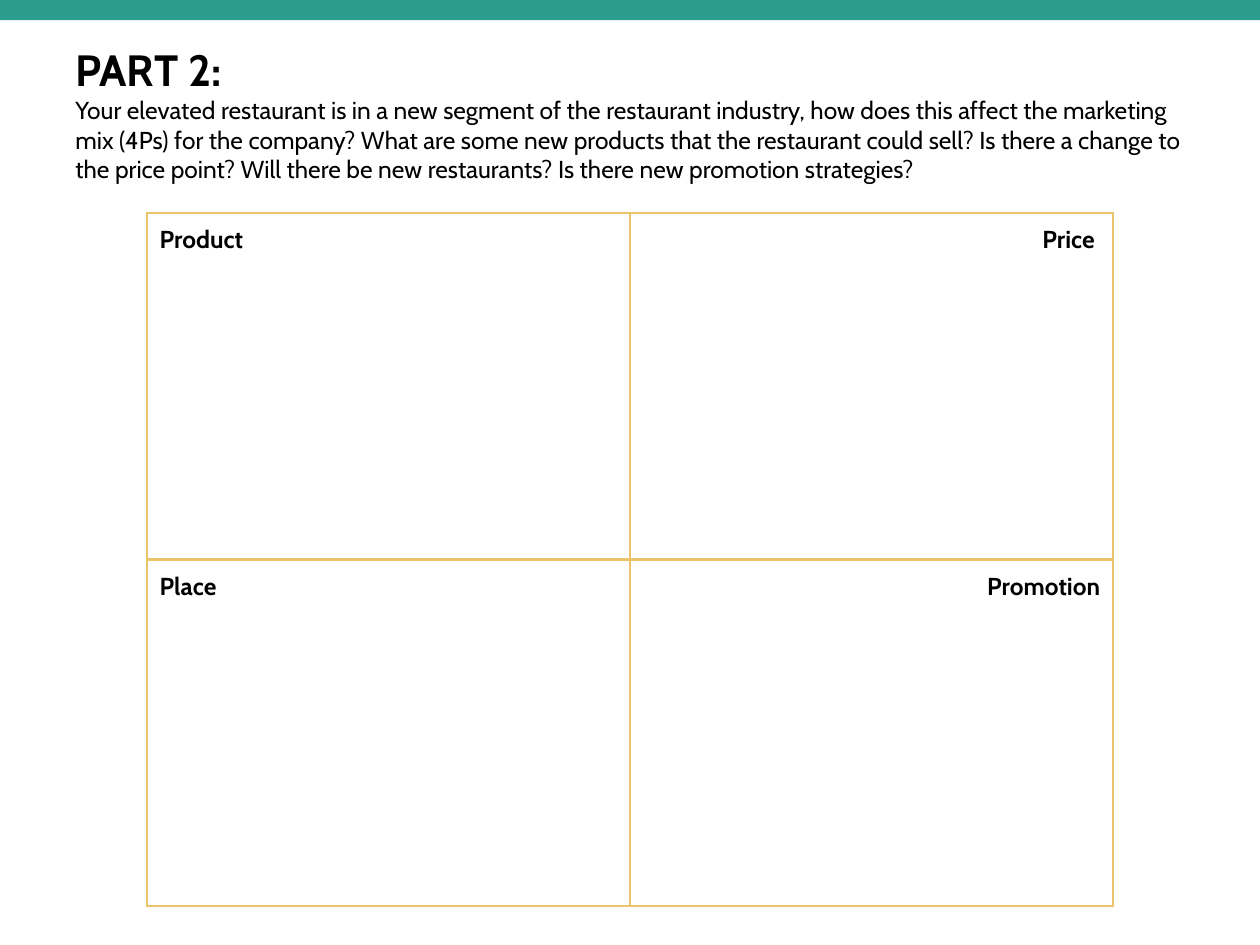
from lxml import etree
from pptx import Presentation
from pptx import util as u
from pptx.dml.color import RGBColor
from pptx.enum import shapes, text
from pptx.oxml import ns

COLORS = {"bar": "2A9D8F", "border": "E9C46A", "text": "000000", "page": "FFFFFF"}


def rgb(name):
    return RGBColor.from_string(COLORS[name])


class SlideBuilder:
    font = "Cabin"
    inset = u.Cm(0.25)
    border_pt = 1.5

    def __init__(self, slide):
        self.s = slide
        fill = slide.background.fill
        fill.solid()
        fill.fore_color.rgb = rgb("page")

    def style(self, p, size, bold=False):
        f = p.font
        f.name, f.size, f.bold = self.font, u.Pt(size), bold
        f.color.rgb = rgb("text")

    def set_margins(self, obj):
        obj.margin_left = obj.margin_right = self.inset
        obj.margin_top = obj.margin_bottom = self.inset

    def bar(self, x, y, w, h):
        sp = self.s.shapes.add_shape(
            shapes.MSO_SHAPE.RECTANGLE, u.Cm(x), u.Cm(y), u.Cm(w), u.Cm(h))
        sp.shadow.inherit = False
        sp.fill.solid()
        sp.fill.fore_color.rgb = rgb("bar")
        sp.line.fill.background()

    def textbox(self, x, y, w, h, paragraphs):
        tf = self.s.shapes.add_textbox(u.Cm(x), u.Cm(y), u.Cm(w), u.Cm(h)).text_frame
        tf.word_wrap = True
        tf.auto_size = text.MSO_AUTO_SIZE.SHAPE_TO_FIT_TEXT
        self.set_margins(tf)
        for i, (words, size, bold) in enumerate(paragraphs):
            p = tf.add_paragraph() if i else tf.paragraphs[0]
            p.text = words
            self.style(p, size, bold)

    def cell_borders(self, cell):
        tc_pr = cell._tc.get_or_add_tcPr()
        for i, side in enumerate(("lnL", "lnR", "lnT", "lnB")):
            ln = etree.Element(ns.qn(f"a:{side}"), w=str(u.Pt(self.border_pt)))
            fill = etree.SubElement(ln, ns.qn("a:solidFill"))
            etree.SubElement(fill, ns.qn("a:srgbClr"), val=COLORS["border"])
            tc_pr.insert(i, ln)

    def table(self, x, y, col_w, row_h, rows):
        n_rows, n_cols = len(rows), len(rows[0])
        tbl = self.s.shapes.add_table(
            n_rows, n_cols, u.Cm(x), u.Cm(y),
            u.Cm(col_w * n_cols), u.Cm(row_h * n_rows)).table
        tbl.first_row = tbl.horz_banding = False
        for row, labels in zip(tbl.rows, rows):
            row.height = u.Cm(row_h)
            for i, (cell, label) in enumerate(zip(row.cells, labels)):
                cell.fill.background()
                self.set_margins(cell)
                self.cell_borders(cell)
                p = cell.text_frame.paragraphs[0]
                p.text = label
                p.alignment = text.PP_ALIGN.RIGHT if i else text.PP_ALIGN.LEFT
                self.style(p, 14, bold=True)


def main():
    prs = Presentation()
    prs.slide_width, prs.slide_height = u.Cm(25.4), u.Cm(19.05)
    b = SlideBuilder(prs.slides.add_slide(prs.slide_layouts[6]))

    # Marketing mix grid
    b.table(2.97, 4.29, 9.73, 6.99, [["Product", "Price "], ["Place", "Promotion"]])

    # Top bar
    b.bar(0, 0, 25.4, 0.41)

    # Heading and question
    b.textbox(1.27, 0.61, 22.89, 3.38, [
        ("PART 2:", 25, True),
        ("Your elevated restaurant is in a new segment of the restaurant industry, "
         "how does this affect the marketing mix (4Ps) for the company? What are some "
         "new products that the restaurant could sell? Is there a change to the price "
         "point? Will there be new restaurants? Is there new promotion strategies?",
         14, False),
    ])

    prs.save("out.pptx")


if __name__ == "__main__":
    main()
